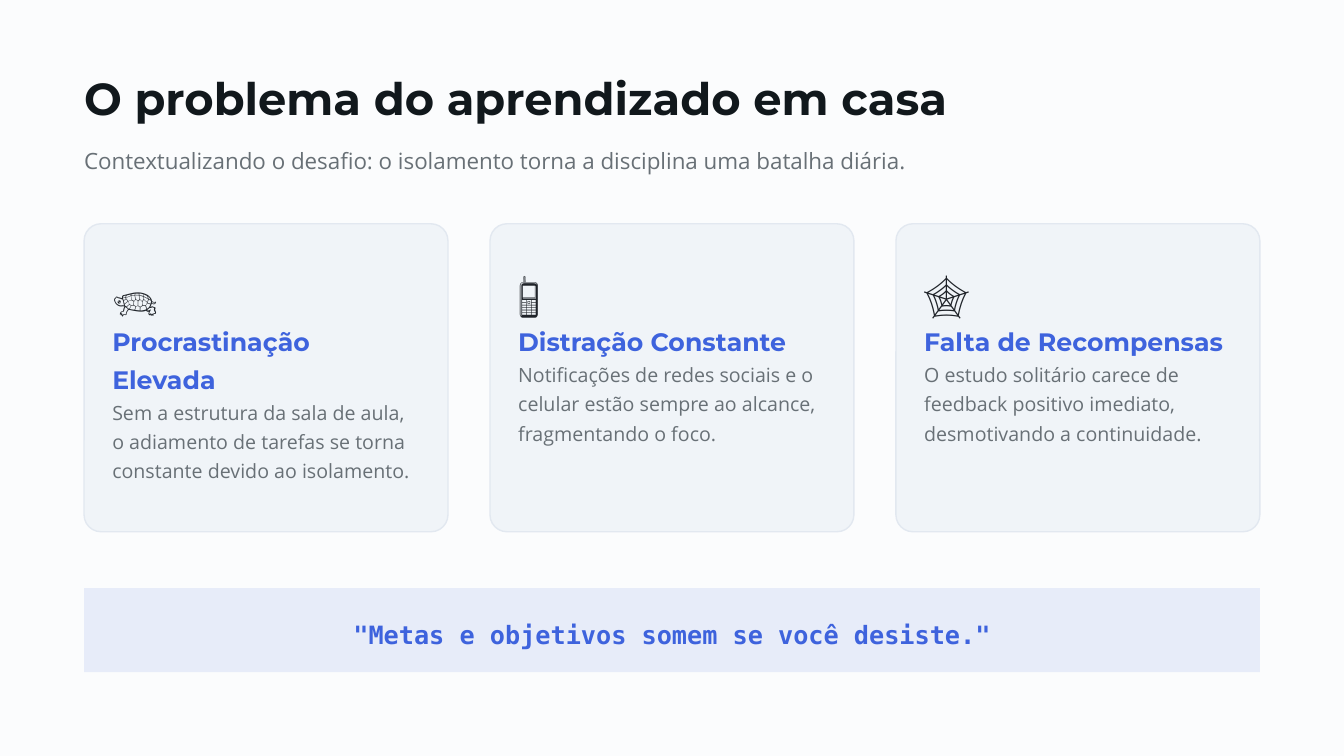
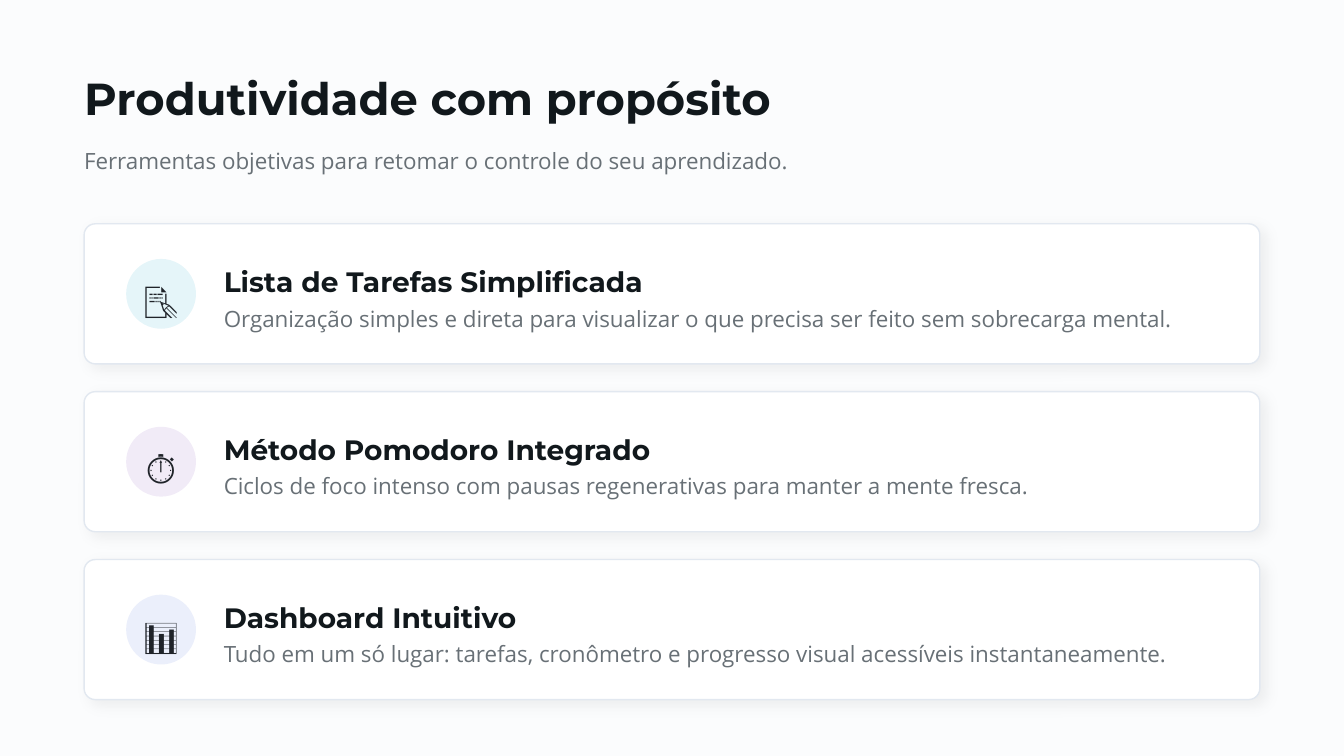
from dataclasses import dataclass
from typing import Any

import pptx
import pptx.dml.color
import pptx.enum.shapes
import pptx.enum.text
import pptx.oxml.ns
import pptx.util
from lxml import etree

Cm = pptx.util.Cm
Pt = pptx.util.Pt
RGBColor = pptx.dml.color.RGBColor
MSO_SHAPE = pptx.enum.shapes.MSO_SHAPE
PP_ALIGN = pptx.enum.text.PP_ALIGN
MSO_ANCHOR = pptx.enum.text.MSO_ANCHOR
qn = pptx.oxml.ns.qn

# Colours
PAPER = RGBColor(0xFB, 0xFC, 0xFD)
INK = RGBColor(0x11, 0x18, 0x1C)
SYMBOL_INK = RGBColor(0x1F, 0x23, 0x29)
GREY = RGBColor(0x68, 0x70, 0x76)
BLUE = RGBColor(0x3E, 0x63, 0xDD)
CYAN = RGBColor(0x00, 0xA2, 0xC7)
PURPLE = RGBColor(0x7D, 0x3C, 0xB5)
CARD_FILL = RGBColor(0xF0, 0xF4, 0xF8)
BORDER = RGBColor(0xE2, 0xE8, 0xF0)
WHITE = RGBColor(0xFF, 0xFF, 0xFF)

# Layout, in centimetres
MARGIN = 2.12
CONTENT_WIDTH = 29.63
BODY_TOP = 5.64
LINE_SPACING = 1.25


@dataclass(frozen=True)
class TextStyle:
    font: dict[str, Any]
    color: RGBColor


@dataclass(frozen=True)
class Box:
    left: float
    top: float
    width: float
    height: float

    def lengths(self) -> tuple:
        return Cm(self.left), Cm(self.top), Cm(self.width), Cm(self.height)

    def inset(self, x: float, y: float) -> "Box":
        return Box(self.left + x, self.top + y, self.width - 2 * x, self.height - 2 * y)


@dataclass(frozen=True)
class Problem:
    symbol: str
    heading: str
    detail: str


@dataclass(frozen=True)
class Tool:
    symbol: str
    tint: RGBColor
    heading: str
    detail: str


def text_style(name: str, size: int, color: RGBColor, bold: bool = False) -> TextStyle:
    return TextStyle({"name": name, "size": Pt(size), "bold": bold}, color)


# Text styles
TITLE = text_style("Montserrat", 32, INK, True)
SUBTITLE = text_style("Open Sans", 16, GREY)
CARD_SYMBOL = text_style("Noto Sans CJK SC", 32, SYMBOL_INK)
CARD_HEADING = text_style("Montserrat", 18, BLUE, True)
CARD_DETAIL = text_style("Open Sans", 14, GREY)
QUOTE = text_style("DejaVu Sans Mono", 18, BLUE, True)
TOOL_SYMBOL = text_style("Noto Sans CJK SC", 24, SYMBOL_INK)
TOOL_HEADING = text_style("Montserrat", 20, INK, True)

# Content
PROBLEMS = [
    Problem("🐢", "Procrastinação Elevada",
            "Sem a estrutura da sala de aula, o adiamento de tarefas se torna "
            "constante devido ao isolamento."),
    Problem("📱", "Distração Constante",
            "Notificações de redes sociais e o celular estão sempre ao alcance, "
            "fragmentando o foco."),
    Problem("🕸️", "Falta de Recompensas",
            "O estudo solitário carece de feedback positivo imediato, "
            "desmotivando a continuidade."),
]
TOOLS = [
    Tool("📝", CYAN, "Lista de Tarefas Simplificada",
         "Organização simples e direta para visualizar o que precisa ser feito "
         "sem sobrecarga mental."),
    Tool("⏱️", PURPLE, "Método Pomodoro Integrado",
         "Ciclos de foco intenso com pausas regenerativas para manter a mente fresca."),
    Tool("📊", BLUE, "Dashboard Intuitivo",
         "Tudo em um só lugar: tarefas, cronômetro e progresso visual acessíveis "
         "instantaneamente."),
]


def write(shape, lines: list[tuple[str, TextStyle]], anchor=MSO_ANCHOR.TOP,
          align=PP_ALIGN.LEFT) -> None:
    """Fill a shape with one paragraph per styled line."""
    frame = shape.text_frame
    frame_format = {"word_wrap": True, "vertical_anchor": anchor, "margin_left": 0,
                    "margin_top": 0, "margin_right": 0, "margin_bottom": 0}
    for attribute, value in frame_format.items():
        setattr(frame, attribute, value)
    for index, (text, style) in enumerate(lines):
        paragraph = frame.add_paragraph() if index else frame.paragraphs[0]
        paragraph.line_spacing = LINE_SPACING
        paragraph.alignment = align
        run = paragraph.add_run()
        run.text = text
        for attribute, value in style.font.items():
            setattr(run.font, attribute, value)
        run.font.color.rgb = style.color
        # Symbols take their font from the East Asian slot
        east_asian = etree.SubElement(run._r.get_or_add_rPr(), qn("a:ea"))
        east_asian.set("typeface", style.font["name"])


def add_text(slide, box: Box, lines: list[tuple[str, TextStyle]],
             anchor=MSO_ANCHOR.TOP) -> None:
    write(slide.shapes.add_textbox(*box.lengths()), lines, anchor)


def add_card(slide, box: Box, fill: RGBColor, corner: float):
    card = slide.shapes.add_shape(MSO_SHAPE.ROUNDED_RECTANGLE, *box.lengths())
    card.adjustments[0] = corner
    card.shadow.inherit = False
    card.fill.solid()
    card.fill.fore_color.rgb = fill
    card.line.color.rgb = BORDER
    card.line.width = Pt(1)
    return card


def set_alpha(color_element, percent: int) -> None:
    etree.SubElement(color_element, qn("a:alpha")).set("val", str(percent * 1000))


def add_soft_shadow(card) -> None:
    effects = card._element.spPr.find(qn("a:effectLst"))
    shadow = etree.SubElement(effects, qn("a:outerShdw"))
    shadow_format = {"blurRad": Pt(10), "dist": Pt(4), "dir": 45 * 60000,
                     "algn": "tl", "rotWithShape": 0}
    for attribute, value in shadow_format.items():
        shadow.set(attribute, str(value))
    black = etree.SubElement(shadow, qn("a:srgbClr"))
    black.set("val", "000000")
    set_alpha(black, 5)


def add_tinted(slide, preset, box: Box, tint: RGBColor, text: str, style: TextStyle) -> None:
    """Draw a borderless shape in a pale tint with centred text."""
    badge = slide.shapes.add_shape(preset, *box.lengths())
    badge.shadow.inherit = False
    badge.fill.solid()
    badge.fill.fore_color.rgb = tint
    set_alpha(badge._element.spPr.find(qn("a:solidFill"))[0], 10)
    badge.line.fill.background()
    write(badge, [(text, style)], MSO_ANCHOR.MIDDLE, PP_ALIGN.CENTER)


def add_headed_slide(deck, title: str, subtitle: str):
    slide = deck.slides.add_slide(deck.slide_layouts[6])
    add_text(slide, Box(MARGIN, 1.41, CONTENT_WIDTH, 1.76), [(title, TITLE)],
             MSO_ANCHOR.MIDDLE)
    add_text(slide, Box(MARGIN, 3.53, CONTENT_WIDTH, 1.41), [(subtitle, SUBTITLE)])
    return slide


def build_problem_slide(deck) -> None:
    slide = add_headed_slide(
        deck, "O problema do aprendizado em casa",
        "Contextualizando o desafio: o isolamento torna a disciplina uma batalha diária.")
    # Three equal columns
    gap = 1.06
    width = (CONTENT_WIDTH - gap * (len(PROBLEMS) - 1)) / len(PROBLEMS)
    for column, problem in enumerate(PROBLEMS):
        box = Box(MARGIN + column * (width + gap), BODY_TOP, width, 7.76)
        add_card(slide, box, CARD_FILL, 0.055)
        add_text(slide, box.inset(0.71, 0.71), [
            (problem.symbol, CARD_SYMBOL),
            (problem.heading, CARD_HEADING),
            (problem.detail, CARD_DETAIL),
        ])
    # Quote band
    add_tinted(slide, MSO_SHAPE.RECTANGLE, Box(MARGIN, 14.82, CONTENT_WIDTH, 2.12), BLUE,
               '"Metas e objetivos somem se você desiste."', QUOTE)


def build_tools_slide(deck) -> None:
    slide = add_headed_slide(
        deck, "Produtividade com propósito",
        "Ferramentas objetivas para retomar o controle do seu aprendizado.")
    height, gap, badge_size, text_height = 3.53, 0.7, 1.76, 2.47
    for row, tool in enumerate(TOOLS):
        top = BODY_TOP + row * (height + gap)
        card = add_card(slide, Box(MARGIN, top, CONTENT_WIDTH, height), WHITE, 0.08)
        add_soft_shadow(card)
        badge = Box(MARGIN + 1.06, top + (height - badge_size) / 2, badge_size, badge_size)
        add_tinted(slide, MSO_SHAPE.OVAL, badge, tool.tint, tool.symbol, TOOL_SYMBOL)
        add_text(slide, Box(5.64, top + (height - text_height) / 2, 24.69, text_height),
                 [(tool.heading, TOOL_HEADING), (tool.detail, SUBTITLE)],
                 MSO_ANCHOR.MIDDLE)


def main() -> None:
    deck = pptx.Presentation()
    deck.slide_width, deck.slide_height = Cm(33.87), Cm(19.05)
    # Shared background
    backdrop = deck.slide_master.background.fill
    backdrop.solid()
    backdrop.fore_color.rgb = PAPER
    build_problem_slide(deck)
    build_tools_slide(deck)
    deck.save("out.pptx")


if __name__ == "__main__":
    main()
